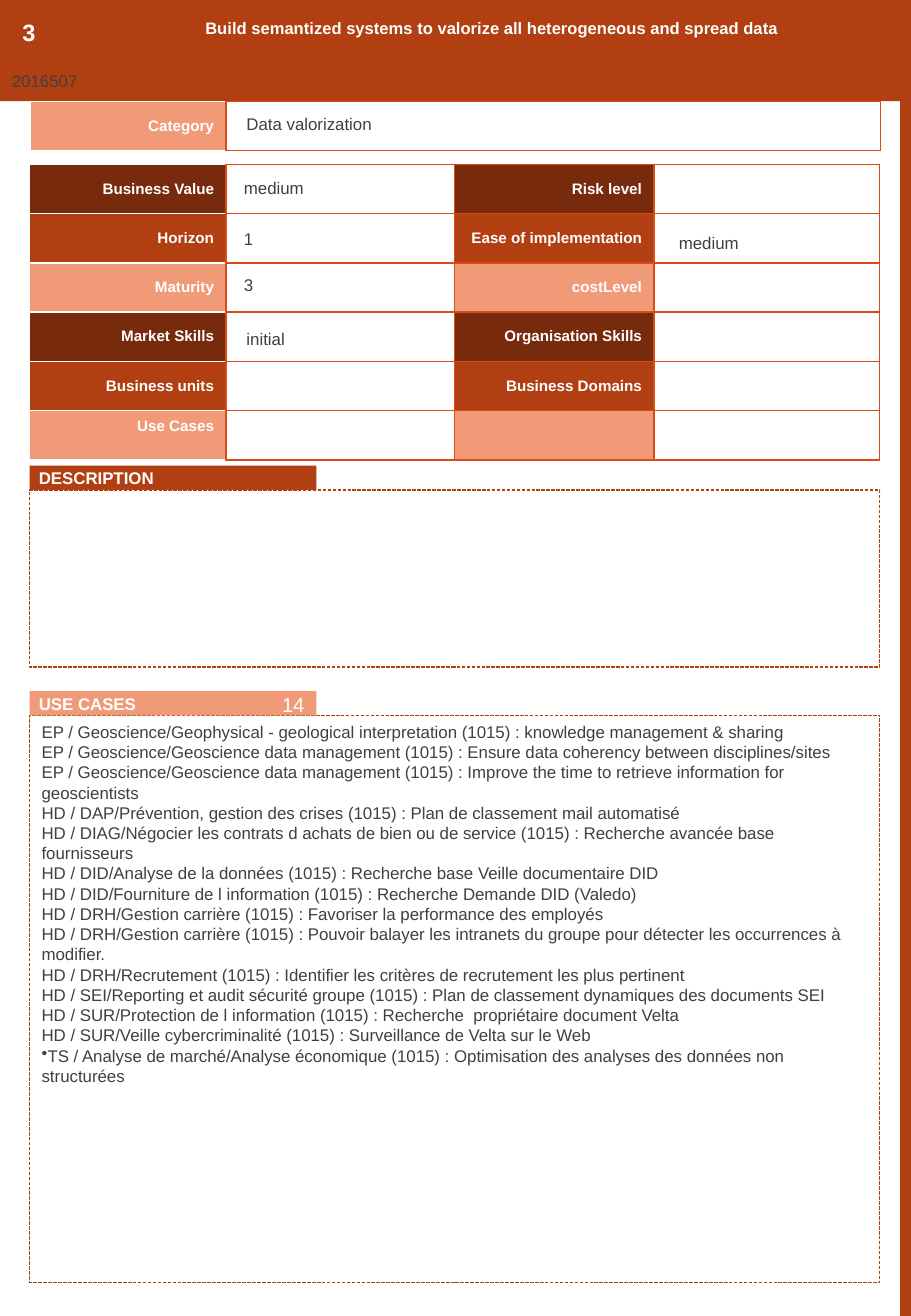
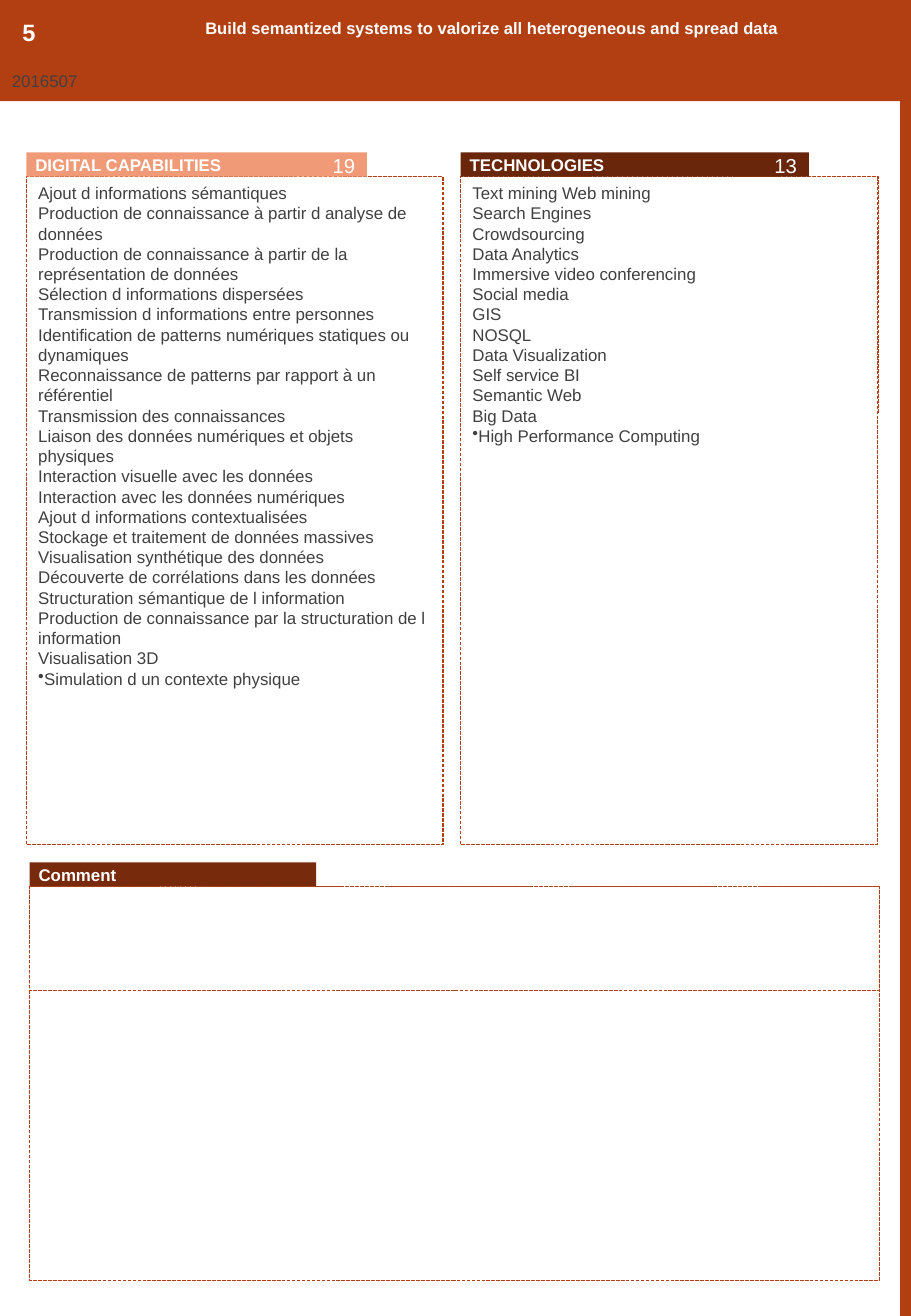
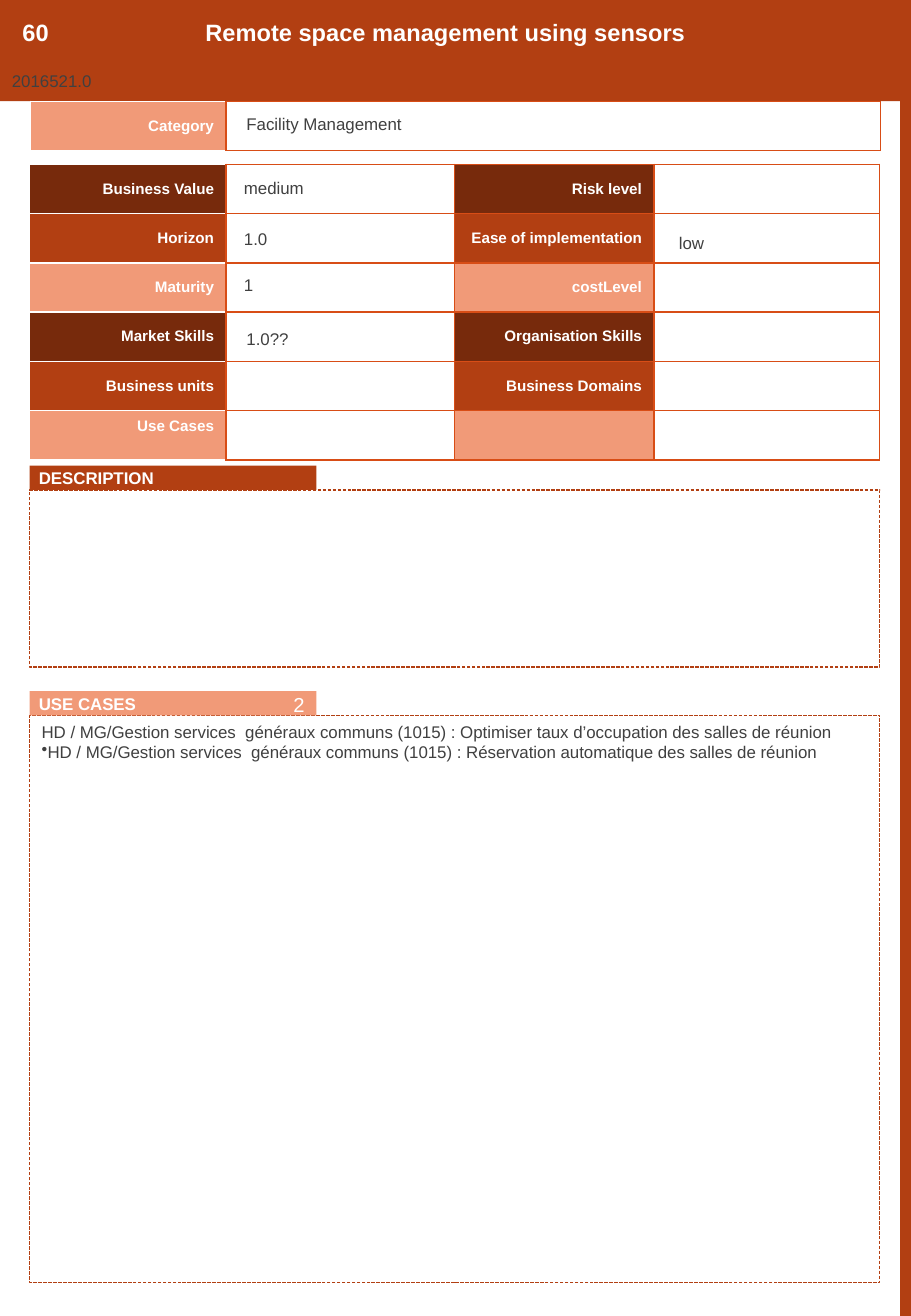
from lxml.etree import SubElement
from pptx import Presentation
from pptx.dml.color import RGBColor
from pptx.enum.dml import MSO_LINE
from pptx.enum.shapes import MSO_SHAPE
from pptx.enum.text import MSO_ANCHOR, MSO_AUTO_SIZE, PP_ALIGN
from pptx.oxml.ns import qn
from pptx.util import Pt

RUST = RGBColor(0xB2, 0x3F, 0x12)
BROWN = RGBColor(0x77, 0x2A, 0x0C)
DARK = RGBColor(0x69, 0x26, 0x0B)
PEACH = RGBColor(0xF1, 0x9A, 0x78)
EDGE = RGBColor(0xD8, 0x4D, 0x16)
WHITE = RGBColor(0xFF, 0xFF, 0xFF)
GREY = RGBColor(0x40, 0x40, 0x40)

FONT = "Arial"
WIDE, HIGH = 540, 780
HEAD = 60
TAB = 14.4
ROW = 29.2

SYSTEMS = {"title": "Build semantized systems to valorize all heterogeneous and spread data",
           "size": 9.8, "code": "2016507"}
SENSORS = {"title": "Remote space management using sensors", "size": 14, "code": "2016521.0"}

CARDS = [
    {
        "head": SYSTEMS, "number": "3",
        "values": {"category": "Data valorization", "value": "medium", "horizon": "1",
                   "ease": "medium", "maturity": "3", "skills": "initial"},
        "cases": [
            "EP / Geoscience/Geophysical - geological interpretation (1015) : knowledge management & sharing",
            "EP / Geoscience/Geoscience data management (1015) : Ensure data coherency between disciplines/sites",
            "EP / Geoscience/Geoscience data management (1015) : Improve the time to retrieve information for geoscientists",
            "HD / DAP/Prévention, gestion des crises (1015) : Plan de classement mail automatisé",
            "HD / DIAG/Négocier les contrats d achats de bien ou de service (1015) : Recherche avancée base fournisseurs",
            "HD / DID/Analyse de la données (1015) : Recherche base Veille documentaire DID",
            "HD / DID/Fourniture de l information (1015) : Recherche Demande DID (Valedo)",
            "HD / DRH/Gestion carrière (1015) : Favoriser la performance des employés",
            "HD / DRH/Gestion carrière (1015) : Pouvoir balayer les intranets du groupe pour détecter les occurrences à modifier.",
            "HD / DRH/Recrutement (1015) : Identifier les critères de recrutement les plus pertinent",
            "HD / SEI/Reporting et audit sécurité groupe (1015) : Plan de classement dynamiques des documents SEI",
            "HD / SUR/Protection de l information (1015) : Recherche  propriétaire document Velta",
            "HD / SUR/Veille cybercriminalité (1015) : Surveillance de Velta sur le Web",
            "TS / Analyse de marché/Analyse économique (1015) : Optimisation des analyses des données non structurées",
        ],
    },
    {
        "head": SYSTEMS, "number": "5",
        "skills": [
            "Ajout d informations sémantiques",
            "Production de connaissance à partir d analyse de données",
            "Production de connaissance à partir de la représentation de données",
            "Sélection d informations dispersées",
            "Transmission d informations entre personnes",
            "Identification de patterns numériques statiques ou dynamiques",
            "Reconnaissance de patterns par rapport à un référentiel",
            "Transmission des connaissances",
            "Liaison des données numériques et objets physiques",
            "Interaction visuelle avec les données",
            "Interaction avec les données numériques",
            "Ajout d informations contextualisées",
            "Stockage et traitement de données massives",
            "Visualisation synthétique des données",
            "Découverte de corrélations dans les données",
            "Structuration sémantique de l information",
            "Production de connaissance par la structuration de l information",
            "Visualisation 3D",
            "Simulation d un contexte physique",
        ],
        "tools": [
            "Text mining Web mining", "Search Engines", "Crowdsourcing", "Data Analytics",
            "Immersive video conferencing", "Social media", "GIS", "NOSQL",
            "Data Visualization", "Self service BI", "Semantic Web", "Big Data",
            "High Performance Computing",
        ],
    },
    {
        "head": SENSORS, "number": "60",
        "values": {"category": "Facility Management", "value": "medium", "horizon": "1.0",
                   "ease": "low", "maturity": "1", "skills": "1.0??"},
        "cases": [
            "HD / MG/Gestion services  généraux communs (1015) : Optimiser taux d’occupation des salles de réunion",
            "HD / MG/Gestion services  généraux communs (1015) : Réservation automatique des salles de réunion",
        ],
    },
]

LABELS = [
    ("Business Value", "Risk level"),
    ("Horizon", "Ease of implementation"),
    ("Maturity", "costLevel"),
    ("Market Skills", "Organisation Skills"),
    ("Business units", "Business Domains"),
    ("Use Cases", ""),
]
SHADES = [BROWN, RUST, PEACH]

# left, top and width of each value
PLACES = {
    "category": (139, 64, 343),
    "value": (137.5, 101.5, 126),
    "horizon": (137.5, 131.8, 126),
    "ease": (395.3, 134.6, 126),
    "maturity": (137.5, 159.1, 126),
    "skills": (139, 191.5, 126),
}


def write(frame, text, size=10, color=GREY, bold=False, align=PP_ALIGN.LEFT,
          anchor=MSO_ANCHOR.TOP, pitch=None, bullet=False):
    """Fill a frame with one line or a list; bullet marks the last line."""
    lines = [text] if isinstance(text, str) else text
    frame.word_wrap = True
    frame.vertical_anchor = anchor
    for i, line in enumerate(lines):
        para = frame.paragraphs[0] if i == 0 else frame.add_paragraph()
        if bullet and i == len(lines) - 1:
            SubElement(para._p.get_or_add_pPr(), qn("a:buChar")).set("char", "•")
        para.alignment = align
        if pitch:
            para.line_spacing = Pt(pitch)
        run = para.add_run()
        run.text = line
        run.font.name = FONT
        run.font.size = Pt(size)
        run.font.bold = bold
        run.font.color.rgb = color


def block(slide, x, y, w, h, fill=WHITE, dash=False):
    box = slide.shapes.add_shape(MSO_SHAPE.RECTANGLE, Pt(x), Pt(y), Pt(w), Pt(h))
    box.shadow.inherit = False
    box.fill.solid()
    box.fill.fore_color.rgb = fill
    if dash:
        box.line.color.rgb = RUST
        box.line.width = Pt(0)
        box.line.dash_style = MSO_LINE.SQUARE_DOT
    else:
        box.line.fill.background()
    return box


def label(slide, x, y, w, h, text, **style):
    box = slide.shapes.add_textbox(Pt(x), Pt(y), Pt(w), Pt(h))
    write(box.text_frame, text, **style)


def panel(slide, x, y, w, h, name, fill, tab=170, lines=None):
    """Draw a tab, the dashed box below it and the count of its lines."""
    box = block(slide, x, y + TAB, w, h, dash=True)
    if lines:
        write(box.text_frame, lines, pitch=12, bullet=True)
    flag = block(slide, x, y, tab, TAB, fill)
    flag.text_frame.margin_left = Pt(5.4)
    write(flag.text_frame, name, color=WHITE, bold=True, anchor=MSO_ANCHOR.MIDDLE)
    if lines:
        label(slide, x + tab - 100, y - 3, 100, 21, str(len(lines)),
              size=12, color=WHITE, align=PP_ALIGN.RIGHT)


def frame_cell(cell, sides):
    """Draw the four borders, given in the order left, right, top, bottom."""
    props = cell._tc.get_or_add_tcPr()
    for tag, color in zip(("a:lnL", "a:lnR", "a:lnT", "a:lnB"), sides):
        line = SubElement(props, qn(tag), w=str(Pt(1)))
        fill = SubElement(line, qn("a:solidFill"))
        SubElement(fill, qn("a:srgbClr"), val=str(color))


def grid(slide, x, y, widths, rows):
    """Draw a table; each row lists (text, fill) pairs."""
    shape = slide.shapes.add_table(len(rows), len(widths), Pt(x), Pt(y),
                                   Pt(sum(widths)), Pt(ROW * len(rows)))
    table = shape.table
    table.first_row = table.horz_banding = False
    for col, width in zip(table.columns, widths):
        col.width = Pt(width)
    for r, row in enumerate(rows):
        table.rows[r].height = Pt(ROW)
        for c, (text, fill) in enumerate(row):
            cell = table.cell(r, c)
            frame_cell(cell, (WHITE, EDGE, WHITE, WHITE) if c == 0 else [EDGE] * 4)
            cell.fill.solid()
            cell.fill.fore_color.rgb = fill
            cell.vertical_anchor = MSO_ANCHOR.MIDDLE
            if text:
                write(cell.text_frame, text, size=9, color=WHITE, bold=True,
                      align=PP_ALIGN.RIGHT, anchor=MSO_ANCHOR.MIDDLE)
    return table


def dress(prs, slide):
    """Move the top and side bands to the master, shared by all slides."""
    bands = [(WIDE - 6.5, 0, 6.5, HIGH), (0, 0, WIDE, HEAD)]
    for i, place in enumerate(bands):
        band = block(slide, *place, fill=RUST)
        band.element.nvSpPr.cNvPr.set("id", str(90 + i))
        prs.slide_master.shapes.element.append(band.element)


def header(slide, card):
    head = card["head"]
    title = slide.shapes.title
    title.left, title.top, title.width, title.height = Pt(114.5), Pt(7), Pt(389.5), Pt(24.5)
    title.fill.solid()
    title.fill.fore_color.rgb = RUST
    write(title.text_frame, head["title"], size=head["size"], color=WHITE, bold=True)
    title.text_frame.auto_size = MSO_AUTO_SIZE.NONE
    number = block(slide, 6.2, 7, 57.6, 24.5, RUST)
    write(number.text_frame, card["number"], size=14, color=WHITE, bold=True)
    code = block(slide, 0, 38.2, 76.3, 21, RUST)
    write(code.text_frame, head["code"])


def sheet(slide, card):
    """Draw the tables, the description and the use cases."""
    grid(slide, 18.2, HEAD, (115.8, 388), [[("Category", PEACH), ("", WHITE)]])
    rows = []
    for i, (left, right) in enumerate(LABELS):
        shade = SHADES[i % len(SHADES)]
        rows.append([(left, shade), ("", WHITE), (right, shade), ("", WHITE)])
    facts = grid(slide, 17.6, 97.4, (116.4, 135.5, 118.2, 133.7), rows)
    facts.cell(len(rows) - 1, 0).margin_bottom = Pt(14.4)
    for key, text in card["values"].items():
        x, y, w = PLACES[key]
        label(slide, x, y, w, 21, text)
    panel(slide, 17.6, 276, 504, 105, "DESCRIPTION", RUST)
    panel(slide, 17.6, 409.7, 504, 336, "USE CASES", PEACH, lines=card["cases"])


def means(slide, card):
    """Draw the capabilities, the technologies and the comment."""
    top, wide, high = 90.4, 247, 396
    block(slide, 273.6, top + TAB, wide, 140.4, dash=True)
    panel(slide, 15.6, top, wide, high, "DIGITAL CAPABILITIES", PEACH, 202, card["skills"])
    panel(slide, 273, top, wide, high, "TECHNOLOGIES", DARK, 206.5, card["tools"])
    panel(slide, 17.5, 511.2, 504, 233.3, "Comment", BROWN)
    block(slide, 17.5, 511.2 + TAB, 504, 61.7, dash=True)


def main():
    prs = Presentation()
    prs.slide_width, prs.slide_height = Pt(WIDE), Pt(HIGH)
    for i, card in enumerate(CARDS):
        slide = prs.slides.add_slide(prs.slide_layouts[5])
        if i == 0:
            dress(prs, slide)
        header(slide, card)
        draw = sheet if "values" in card else means
        draw(slide, card)
    prs.save("out.pptx")


if __name__ == "__main__":
    main()
